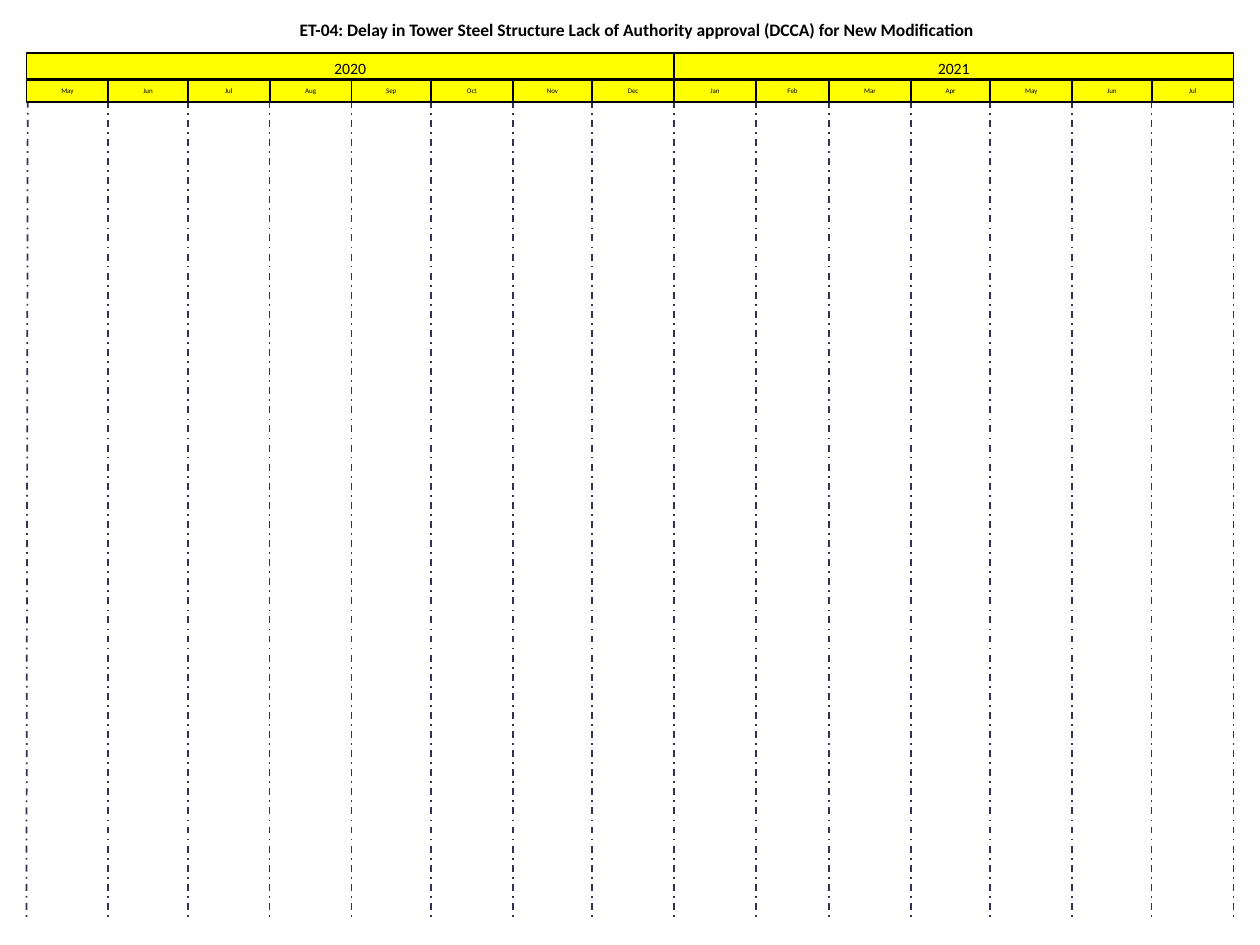
from itertools import accumulate

from lxml import etree
from pptx import Presentation
from pptx import util as u
from pptx.dml.color import RGBColor
from pptx.enum import dml, shapes, text
from pptx.oxml.ns import qn

LEFT, RIGHT = 0.21, 9.79
YEAR_TOP, MONTH_TOP, GRID_TOP, GRID_BOTTOM = 0.42, 0.64, 0.8, 7.29
YEARS = [("2020", 8), ("2021", 7)]  # label, number of months shown
MONTHS = [("May", 31), ("Jun", 30), ("Jul", 31), ("Aug", 31), ("Sep", 30),
          ("Oct", 31), ("Nov", 30), ("Dec", 31), ("Jan", 31), ("Feb", 28),
          ("Mar", 31), ("Apr", 30), ("May", 31), ("Jun", 30), ("Jul", 31)]


def color(value):
    return RGBColor.from_string(value)


class Timeline:
    font = "Calibri"
    ink = "000000"
    band = "FFFF00"
    grid = "333350"

    def __init__(self, slide):
        self.s = slide

    def box(self, label, x, y, w, h, size, fill=None, line=ink, weight=1,
            bold=False, side_inset=0.1):
        sp = self.s.shapes.add_shape(
            shapes.MSO_SHAPE.RECTANGLE,
            u.Inches(x), u.Inches(y), u.Inches(w), u.Inches(h))
        sp.shadow.inherit = False
        if fill:
            sp.fill.solid()
            sp.fill.fore_color.rgb = color(fill)
        else:
            sp.fill.background()
        sp.line.color.rgb = color(line)
        sp.line.width = u.Pt(weight)
        tf = sp.text_frame
        tf.text = label
        tf.word_wrap = True
        tf.auto_size = text.MSO_AUTO_SIZE.SHAPE_TO_FIT_TEXT
        tf.vertical_anchor = text.MSO_ANCHOR.TOP
        tf.margin_left = tf.margin_right = u.Inches(side_inset)
        p = tf.paragraphs[0]
        p.alignment = text.PP_ALIGN.CENTER
        r = p.runs[0]
        r.font.name = self.font
        r.font.size = u.Pt(size)
        r.font.bold = bold
        r.font.color.rgb = color(self.ink)

    def title(self, label):
        self.box(label, 0.1, 0.1, 9.9, 0.31, 10, line="FFFFFF", weight=0,
                 bold=True)

    def year(self, label, x, w):
        self.box(label, x, YEAR_TOP, w, 0.21, 9, fill=self.band)

    def month(self, label, x, w):
        self.box(label, x, MONTH_TOP, w, 0.17, 4, fill=self.band,
                 side_inset=0)

    def grid_line(self, top_x, bottom_x):
        line = self.s.shapes.add_connector(
            shapes.MSO_CONNECTOR.STRAIGHT,
            u.Inches(top_x), u.Inches(GRID_TOP),
            u.Inches(bottom_x), u.Inches(GRID_BOTTOM))
        line.line.color.rgb = color(self.grid)
        line.line.width = u.Pt(1)
        line.line.dash_style = dml.MSO_LINE.DASH_DOT
        etree.SubElement(line._element.spPr, qn("a:effectLst"))


def main():
    prs = Presentation()
    prs.slide_width, prs.slide_height = u.Inches(10), u.Inches(7.5)
    chart = Timeline(prs.slides.add_slide(prs.slide_layouts[6]))

    # Month edges: each column is as wide as its number of days
    days = list(accumulate((d for _, d in MONTHS), initial=0))
    edges = [round(LEFT + (RIGHT - LEFT) * d / days[-1], 2) for d in days]

    # Title and year bands
    chart.title("ET-04: Delay in Tower Steel Structure Lack of Authority "
                "approval (DCCA) for New Modification")
    first = 0
    for label, count in YEARS:
        last = first + count
        chart.year(label, edges[first], edges[last] - edges[first])
        first = last

    # Month headers with the grid line at each start; the first one leans
    for i, (label, _) in enumerate(MONTHS):
        x = edges[i]
        chart.grid_line(x + 0.01 if i == 0 else x, x)
        chart.month(label, x, edges[i + 1] - x)
    chart.grid_line(RIGHT, RIGHT)

    prs.save("out.pptx")


if __name__ == "__main__":
    main()
